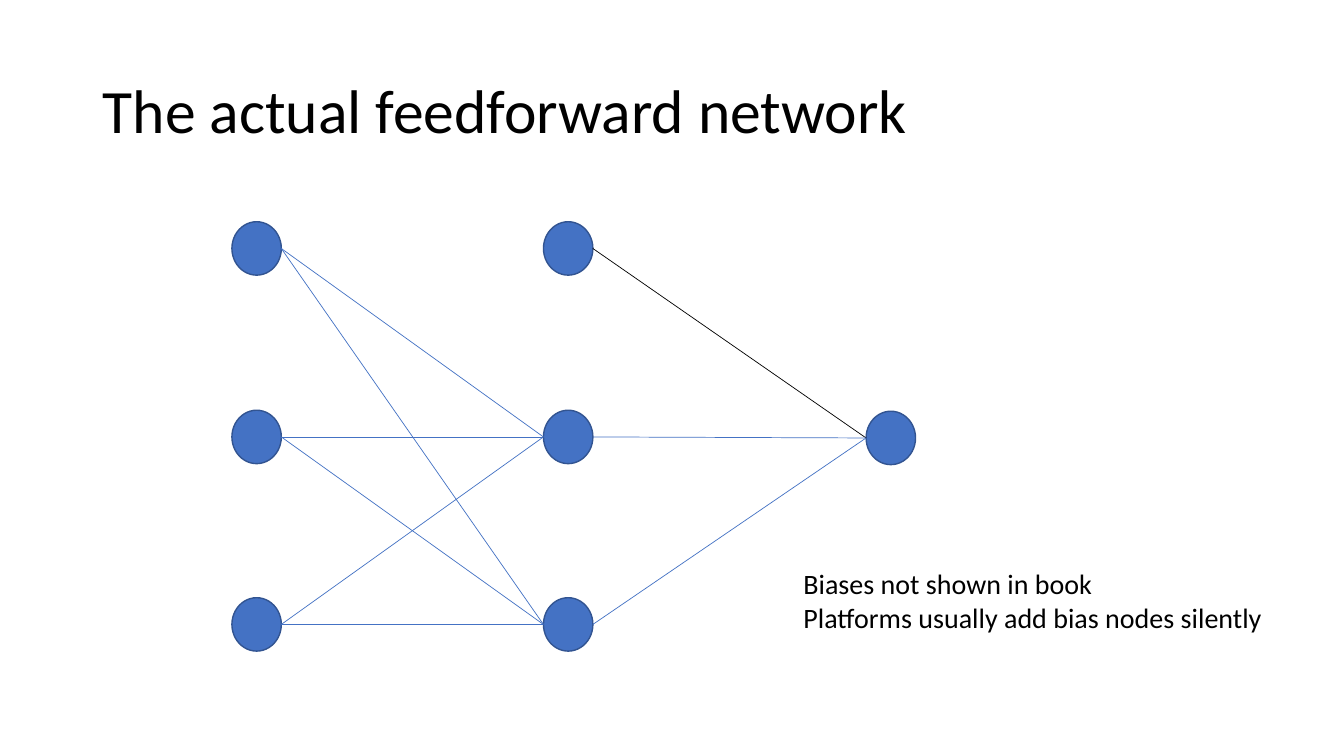
import pptx
import pptx.util
import pptx.dml.color
import pptx.enum.shapes
import pptx.enum.text
import pptx.oxml.ns
import lxml.etree

Inches = pptx.util.Inches
Pt = pptx.util.Pt
BLUE = "4472C4"
BLACK = "000000"


def color(code):
    return pptx.dml.color.RGBColor.from_string(code)


def style(para, size):
    para.alignment = pptx.enum.text.PP_ALIGN.LEFT
    para.font.name = "Calibri"
    para.font.size = Pt(size)
    para.font.color.rgb = color(BLACK)


deck = pptx.Presentation()
deck.slide_width = Inches(13.33)
deck.slide_height = Inches(7.5)
slide = deck.slides.add_slide(deck.slide_layouts[5])

title = slide.shapes.title
title.left, title.top = Inches(0.92), Inches(0.4)
title.width, title.height = Inches(11.5), Inches(1.45)
title.text_frame.text = "The actual feedforward network"
title.text_frame.vertical_anchor = pptx.enum.text.MSO_ANCHOR.MIDDLE
title.text_frame.paragraphs[0].line_spacing = 0.9
style(title.text_frame.paragraphs[0], 44)

# Left and top of each node, layer by layer
width, height = 0.49, 0.53
rows = [2.2, 4.07, 5.93]
inputs = [(2.3, top) for top in rows]
hidden = [(5.39, top) for top in rows]
output = (8.59, 4.08)

for left, top in inputs + hidden + [output]:
    node = slide.shapes.add_shape(
        pptx.enum.shapes.MSO_SHAPE.OVAL,
        Inches(left), Inches(top), Inches(width), Inches(height))
    node.shadow.inherit = False
    node.fill.solid()
    node.fill.fore_color.rgb = color(BLUE)
    node.line.color.rgb = color("325491")
    node.line.width = Pt(1)

# The first hidden node is the bias: nothing feeds it
edges = [(start, end, BLUE) for start in inputs for end in hidden[1:]]
edges += [(start, output, BLACK if start == hidden[0] else BLUE)
          for start in hidden]

for start, end, shade in edges:
    edge = slide.shapes.add_connector(
        pptx.enum.shapes.MSO_CONNECTOR.STRAIGHT,
        Inches(start[0] + width), Inches(start[1] + height / 2),
        Inches(end[0]), Inches(end[1] + height / 2))
    edge.line.color.rgb = color(shade)
    edge.line.width = Pt(0.5)
    lxml.etree.SubElement(
        edge._element.spPr, pptx.oxml.ns.qn("a:effectLst"))

note = slide.shapes.add_textbox(
    Inches(7.87), Inches(5.57), Inches(5.33), Inches(0.77))
note.text_frame.word_wrap = True
note.text_frame.auto_size = pptx.enum.text.MSO_AUTO_SIZE.SHAPE_TO_FIT_TEXT
note.text_frame.text = ("Biases not shown in book\n"
                        "Platforms usually add bias nodes silently")
for para in note.text_frame.paragraphs:
    style(para, 20)

deck.save("out.pptx")
